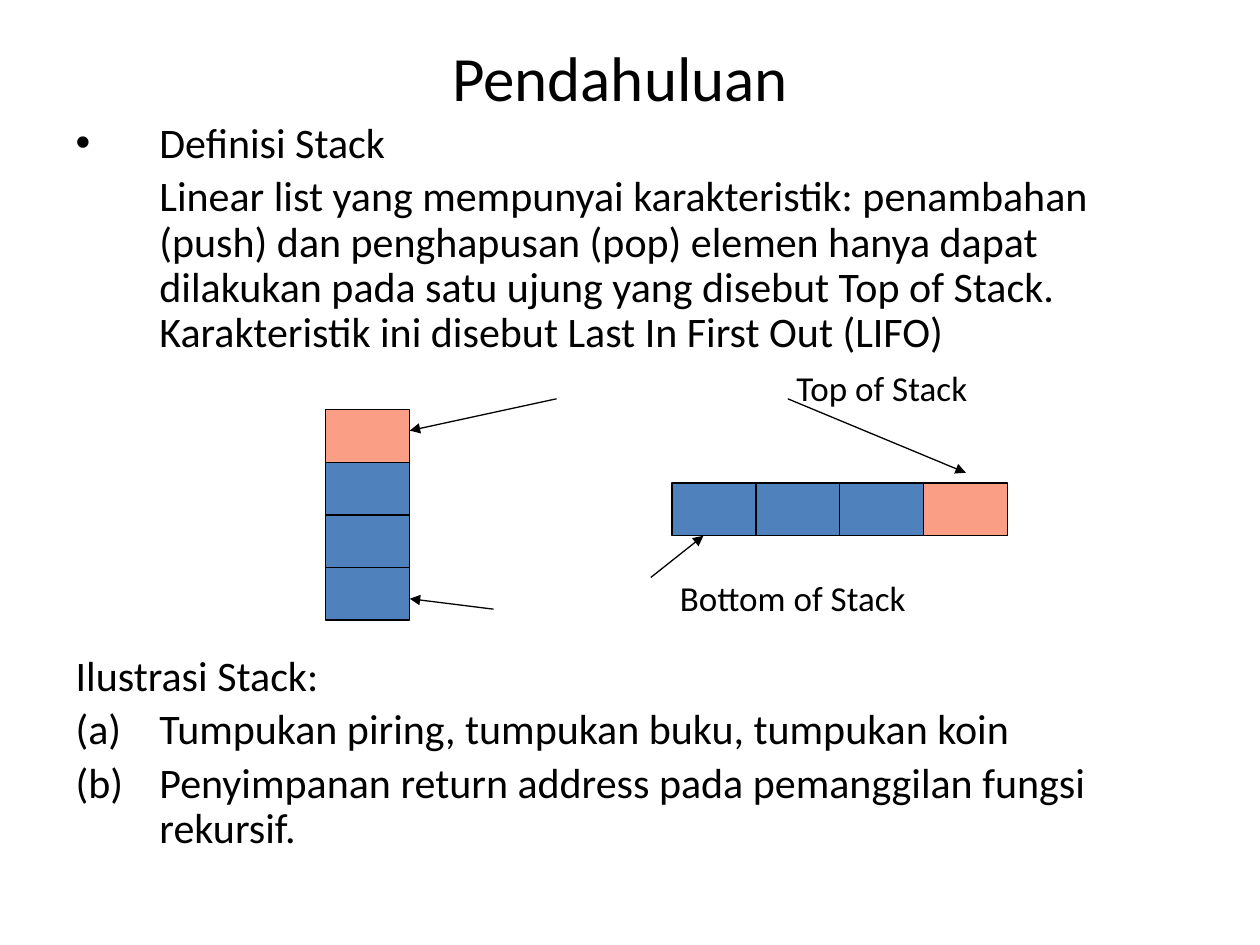
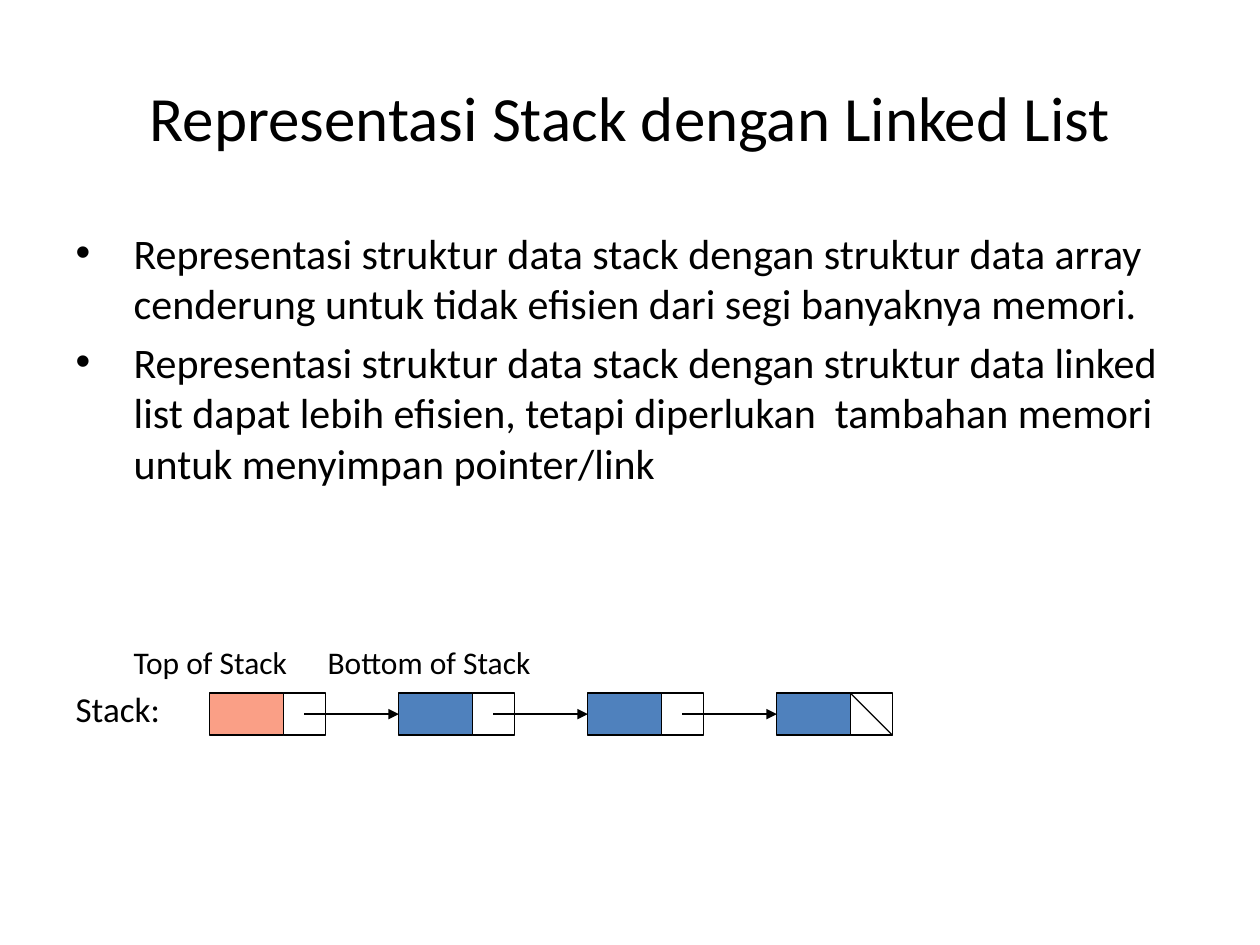
from lxml import etree
from pptx import Presentation
from pptx.dml.color import RGBColor
from pptx.enum.shapes import MSO_CONNECTOR, MSO_SHAPE
from pptx.enum.text import MSO_ANCHOR, MSO_AUTO_SIZE, PP_ALIGN
from pptx.oxml.ns import qn
from pptx.util import Cm, Pt

RECTANGLE = MSO_SHAPE.RECTANGLE
STRAIGHT = MSO_CONNECTOR.STRAIGHT
MIDDLE = MSO_ANCHOR.MIDDLE
CENTER = PP_ALIGN.CENTER
NO_AUTOFIT = MSO_AUTO_SIZE.NONE
LEFT_SIDE = 1

FONT = "Calibri"
BLACK = "000000"
WHITE = "FFFFFF"
TOP_FILL = "FA9F86"
ITEM_FILL = "4F81BD"


def color(hex_string):
    return RGBColor.from_string(hex_string)


def add_xml(parent, tag, **attributes):
    return etree.SubElement(parent, qn(tag), attributes)


class StackDeck:
    """Holds the shared style and the slide being built."""

    title_size = 36
    line_width = Pt(0.75)

    def __init__(self):
        self.deck = Presentation()
        self.deck.slide_width = Cm(25.4)
        self.deck.slide_height = Cm(19.05)
        self.page = None

    def new_page(self, title, left, top, width, height):
        self.page = self.deck.slides.add_slide(self.deck.slide_layouts[1])
        frame = self.place(self.page.shapes.title, left, top, width, height)
        frame.vertical_anchor = MIDDLE
        para = frame.paragraphs[0]
        para.alignment = CENTER
        self.add_span(para, title, self.title_size)

    def place(self, box, left, top, width, height):
        """Move a placeholder and return its prepared text frame."""
        geometry = {"left": left, "top": top, "width": width, "height": height}
        for name, value in geometry.items():
            setattr(box, name, Cm(value))
        frame = box.text_frame
        frame.word_wrap = True
        frame.auto_size = NO_AUTOFIT
        return frame

    def add_span(self, para, text, size):
        span = para.add_run()
        span.text = text
        for name, value in {"name": FONT, "size": Pt(size)}.items():
            setattr(span.font, name, value)
        span.font.color.rgb = color(BLACK)

    def body(self, left, top, width, height, items, line_spacing):
        """Fill the body from (text, format) pairs."""
        frame = self.place(self.page.placeholders[1], left, top, width, height)
        for index, (text, style) in enumerate(items):
            para = frame.add_paragraph() if index else frame.paragraphs[0]
            self.add_span(para, text, style.get("size", 24))
            spacing = {
                "line_spacing": line_spacing,
                "space_before": Pt(style.get("before", 4.8)),
            }
            for name, value in spacing.items():
                setattr(para, name, value)
            self.indent(para, style)

    def indent(self, para, style):
        """Set margin, first-line indent, bullet and tab stop."""
        properties = para._p.get_or_add_pPr()
        properties.set("marL", str(Cm(style.get("margin", 0))))
        properties.set("indent", str(Cm(style.get("first", 0))))
        bullet = style.get("bullet")
        if bullet == "dot":
            add_xml(properties, "a:buChar", char="•")
        elif bullet == "letter":
            add_xml(properties, "a:buAutoNum", type="alphaLcParenBoth")
        else:
            add_xml(properties, "a:buNone")
        if "tab" in style:
            stops = add_xml(properties, "a:tabLst")
            add_xml(stops, "a:tab", pos=str(Cm(style["tab"])), algn="l")

    def cell(self, left, top, width, height, fill):
        box = self.page.shapes.add_shape(
            RECTANGLE, Cm(left), Cm(top), Cm(width), Cm(height))
        box.shadow.inherit = False
        box.fill.solid()
        box.fill.fore_color.rgb = color(fill)
        box.line.color.rgb = color(BLACK)
        box.line.width = self.line_width
        return box

    def line(self, start, end, arrow=True, target=None):
        """Draw a line, joined to the left side of target if one is given."""
        connector = self.page.shapes.add_connector(
            STRAIGHT, *(Cm(value) for value in (*start, *end)))
        if target is not None:
            connector.end_connect(target, LEFT_SIDE)
        connector.line.color.rgb = color(BLACK)
        connector.line.width = self.line_width
        properties = connector._element.spPr
        if arrow:
            add_xml(properties.find(qn("a:ln")), "a:tailEnd", type="triangle")
        add_xml(properties, "a:effectLst")


def build_introduction(show):
    show.new_page("Pendahuluan", 1.07, 0.64, 22.86, 1.78)
    hanging = {"margin": 1.69, "first": -1.69}
    lettered = {**hanging, "bullet": "letter"}
    show.body(1.27, 2.33, 22.86, 14.68, [
        ("Definisi Stack", {**hanging, "bullet": "dot", "before": 0}),
        ("Linear list yang mempunyai karakteristik: penambahan (push) dan "
         "penghapusan (pop) elemen hanya dapat dilakukan pada satu ujung yang "
         "disebut Top of Stack. Karakteristik ini disebut Last In First Out "
         "(LIFO)", {"margin": 1.69}),
        ("Top of Stack", {"margin": 14.53, "size": 20, "before": 8.2}),
        ("Bottom of Stack", {"margin": 12.18, "size": 20, "before": 98.4}),
        ("Ilustrasi Stack:", {"before": 20.4}),
        ("Tumpukan piring, tumpukan buku, tumpukan koin", lettered),
        ("Penyimpanan return address pada pemanggilan fungsi rekursif.",
         lettered),
    ], line_spacing=0.9)

    width, height = 1.69, 1.06
    column_fills = [TOP_FILL] + [ITEM_FILL] * 3
    for index, fill in enumerate(column_fills):
        show.cell(6.56, 8.26 + index * height, width, height, fill)
    for index, fill in enumerate(reversed(column_fills)):
        show.cell(13.55 + index * width, 9.74, width, height, fill)

    for start, end in (
        ((9.95, 12.28), (8.26, 12.07)),
        ((13.12, 11.64), (14.18, 10.8)),
        ((11.22, 8.04), (8.26, 8.68)),
        ((15.88, 8.04), (19.47, 9.53)),
    ):
        show.line(start, end)


def build_linked_list(show):
    show.new_page("Representasi Stack dengan Linked List",
                  1.27, 0.76, 22.86, 3.18)
    bullet = {"margin": 1.17, "first": -1.17, "bullet": "dot"}
    show.body(1.27, 4.45, 22.86, 12.57, [
        ("Representasi struktur data stack dengan struktur data array "
         "cenderung untuk tidak efisien dari segi banyaknya memori.",
         {**bullet, "before": 0}),
        ("Representasi struktur data stack dengan struktur data linked list "
         "dapat lebih efisien, tetapi diperlukan  tambahan memori untuk "
         "menyimpan pointer/link", bullet),
        ("Top of Stack\tBottom of Stack",
         {"first": 1.17, "tab": 16.48, "size": 18, "before": 88.8}),
        ("Stack:", {"size": 20, "before": 4}),
    ], line_spacing=1.0)

    left, top, pitch = 4.23, 13.97, 3.81
    data_width, side = 1.48, 0.85
    middle = top + side / 2
    fills = [TOP_FILL] + [ITEM_FILL] * 3
    nodes = []
    for index, fill in enumerate(fills):
        node_left = left + index * pitch
        nodes.append(show.cell(node_left, top, data_width, side, fill))
        show.cell(node_left + data_width, top, side, side, WHITE)
    for index, target in enumerate(nodes[1:]):
        node_left = left + index * pitch
        show.line((node_left + data_width + side / 2, middle),
                  (node_left + pitch, middle), target=target)
    end_left = left + (len(nodes) - 1) * pitch + data_width
    show.line((end_left, top), (end_left + side, top + side), arrow=False)


def main():
    show = StackDeck()
    build_introduction(show)
    build_linked_list(show)
    show.deck.save("out.pptx")


if __name__ == "__main__":
    main()
